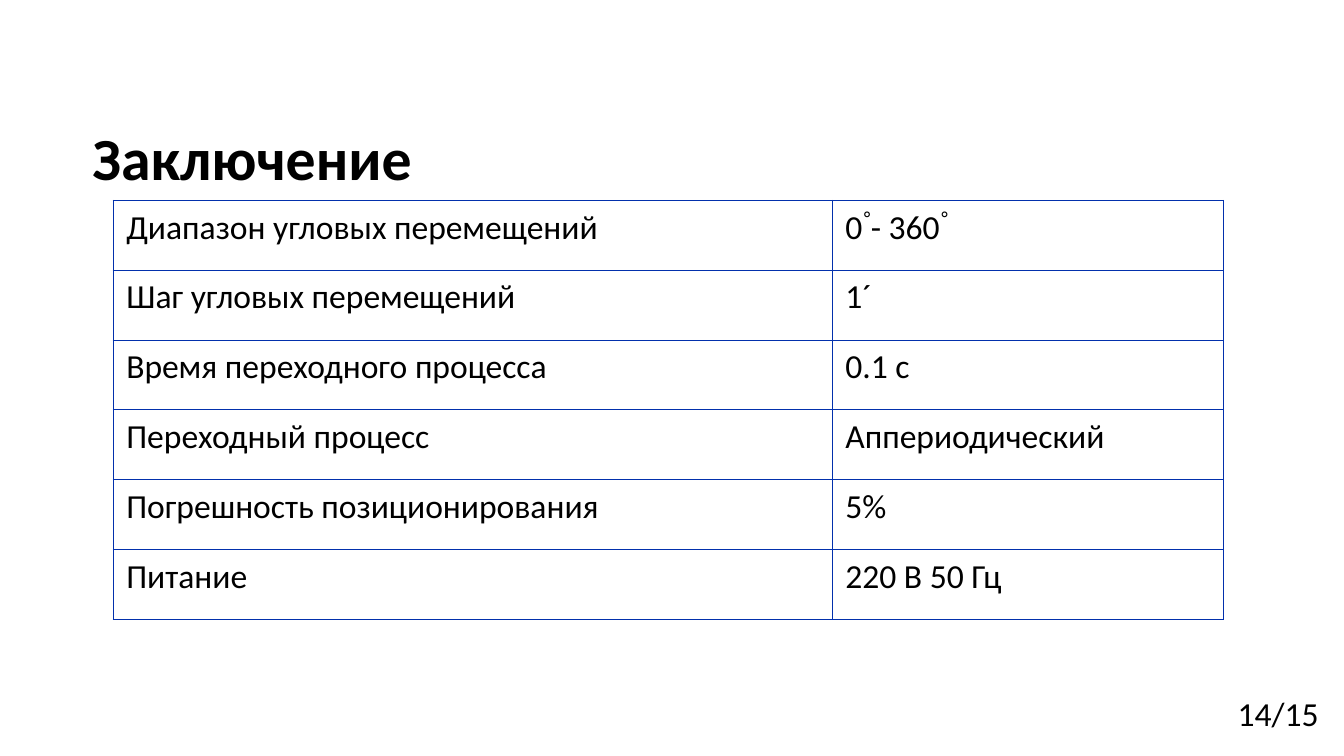
import pptx
import pptx.dml.color
import pptx.enum.text
import pptx.oxml
import pptx.oxml.ns
import pptx.util

Inches, Pt = pptx.util.Inches, pptx.util.Pt
ANCHOR = pptx.enum.text.MSO_ANCHOR

COLORS = {"text": "000000", "cell": "FFFFFF", "border": "0230AC"}
FONT = "Calibri"
BORDER_PT = 0.45

TITLE = "Заключение"
PAGE = "14/15"
ROWS = [
    ("Диапазон угловых перемещений", "0֯ - 360֯"),
    ("Шаг угловых перемещений", "1´"),
    ("Время переходного процесса", "0.1 с"),
    ("Переходный процесс", "Аппериодический"),
    ("Погрешность позиционирования", "5%"),
    ("Питание", "220 В 50 Гц"),
]
COL_WIDTHS = (5.35, 2.91)
ROW_HEIGHT = 0.52


def rgb(name):
    return pptx.dml.color.RGBColor.from_string(COLORS[name])


def write(tf, text, size=18, bold=False):
    r = tf.paragraphs[0].add_run()
    r.text = text
    for key, value in {"name": FONT, "size": Pt(size), "bold": bold}.items():
        setattr(r.font, key, value)
    r.font.color.rgb = rgb("text")


def add_text(slide, box, text, anchor=ANCHOR.TOP, **font):
    tf = slide.shapes.add_textbox(*map(Inches, box)).text_frame
    tf.word_wrap = True
    tf.vertical_anchor = anchor
    write(tf, text, **font)


def set_borders(cell):
    tc_pr = cell._tc.get_or_add_tcPr()
    for i, side in enumerate(("lnL", "lnR", "lnT", "lnB")):
        tc_pr.insert(i, pptx.oxml.parse_xml(
            f'<a:{side} {pptx.oxml.ns.nsdecls("a")} w="{int(Pt(BORDER_PT))}"><a:solidFill>'
            f'<a:srgbClr val="{COLORS["border"]}"/></a:solidFill></a:{side}>'))


def add_spec_table(slide, left, top):
    size = (sum(COL_WIDTHS), ROW_HEIGHT * len(ROWS))
    table = slide.shapes.add_table(
        len(ROWS), len(COL_WIDTHS), *map(Inches, (left, top, *size))).table
    table.first_row = table.horz_banding = False
    for col, width in zip(table.columns, COL_WIDTHS):
        col.width = Inches(width)
    for row, texts in zip(table.rows, ROWS):
        row.height = Inches(ROW_HEIGHT)
        for cell, text in zip(row.cells, texts):
            cell.fill.solid()
            cell.fill.fore_color.rgb = rgb("cell")
            set_borders(cell)
            write(cell.text_frame, text)


prs = pptx.Presentation()
prs.slide_width = Inches(10)
prs.slide_height = prs.slide_width * 9 // 16
s = prs.slides.add_slide(prs.slide_layouts[6])
add_text(s, (0.59, 0.9, 8, 0.58), TITLE, anchor=ANCHOR.BOTTOM, size=32, bold=True)
add_spec_table(s, 0.84, 1.49)
add_text(s, (9.11, 5.11, 0.89, 0.4), PAGE)
prs.save("out.pptx")
